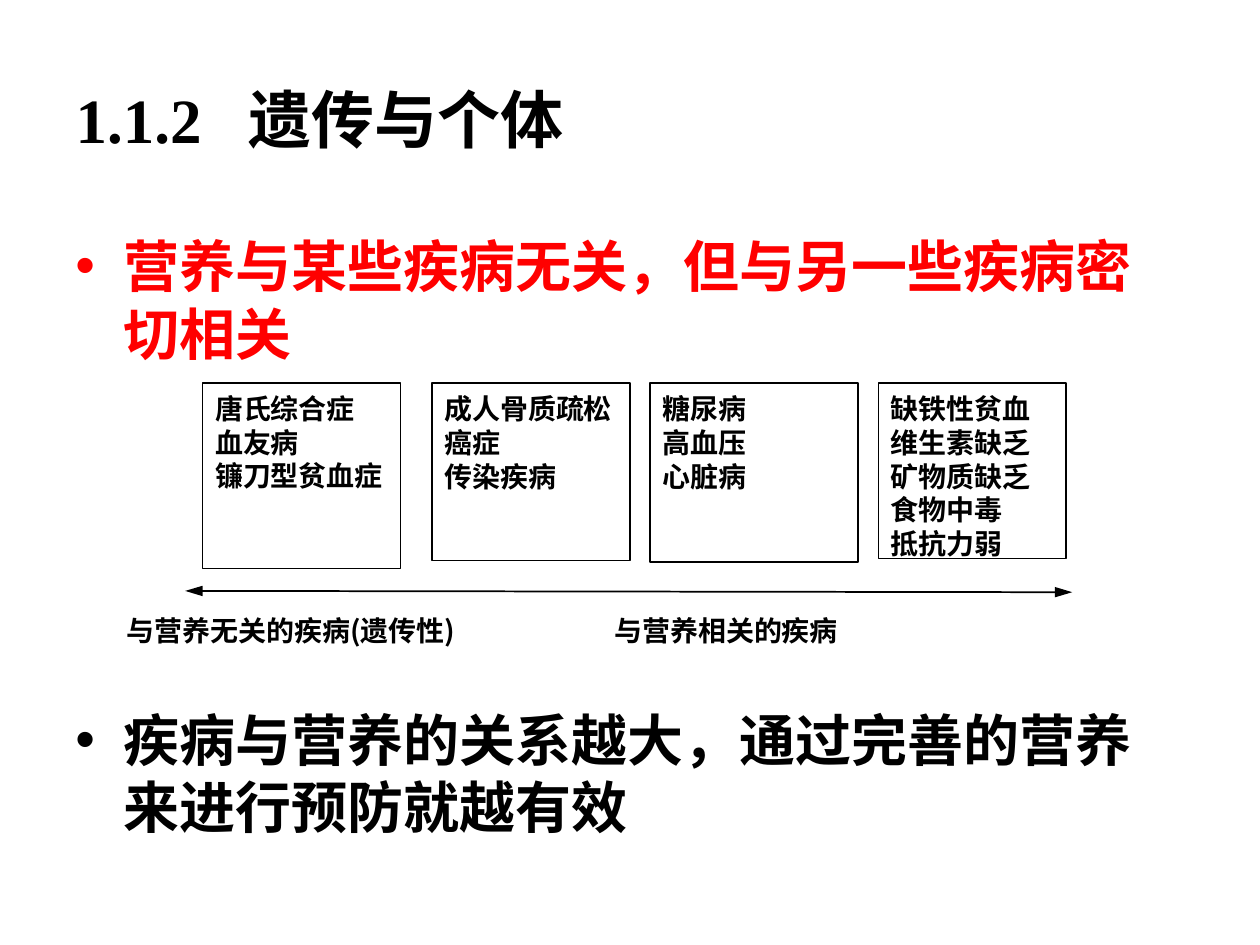
"""Build the slide on heredity, the individual and nutrition-related disease."""
from lxml.etree import SubElement
from pptx import Presentation
from pptx.dml.color import RGBColor
from pptx.enum.shapes import MSO_CONNECTOR, MSO_SHAPE
from pptx.enum.text import MSO_ANCHOR, PP_ALIGN
from pptx.oxml.ns import qn
from pptx.util import Inches, Pt

COLORS = {"ink": "000000", "accent": "FF0000", "paper": "FFFFFF"}
LATIN, CJK = "Times New Roman", "Noto Sans CJK SC"


def rgb(name):
    return RGBColor.from_string(COLORS[name])


def write(shape, lines, size=16, font="Arial", color="ink", bullet=False,
          tab=None, leading=1.2, anchor=MSO_ANCHOR.TOP):
    tf = shape.text_frame
    tf.word_wrap = True
    tf.vertical_anchor = anchor
    tf.margin_left = tf.margin_right = Inches(0.1)
    tf.margin_top, tf.margin_bottom = Inches(0.07), Inches(0.05)
    for i, line in enumerate(lines):
        p = tf.add_paragraph() if i else tf.paragraphs[0]
        p.alignment = PP_ALIGN.LEFT
        pPr = p._p.get_or_add_pPr()
        if bullet:
            pPr.set("marL", str(Inches(0.38)))
            pPr.set("indent", str(-Inches(0.38)))
            SubElement(pPr, qn("a:buFont"), typeface="Arial")
            SubElement(pPr, qn("a:buChar"), char="•")
        if tab:
            tabs = SubElement(pPr, qn("a:tabLst"))
            SubElement(tabs, qn("a:tab"), pos=str(Inches(tab)), algn="l")
        if leading:
            p.line_spacing = Pt(size * leading)
        r = p.add_run()
        r.text = line
        r.font.size = Pt(size)
        r.font.bold = True
        r.font.name = font
        r.font.color.rgb = rgb(color)
        SubElement(r._r.get_or_add_rPr(), qn("a:ea"), typeface=CJK)


prs = Presentation()
prs.slide_width, prs.slide_height = Inches(10), Inches(7.5)
s = prs.slides.add_slide(prs.slide_layouts[5])

title = s.shapes.title
title.left, title.top, title.width, title.height = map(Inches, (0.5, 0.3, 9, 1.25))
write(title, ["1.1.2\t遗传与个体"], size=36, font=LATIN, tab=1.37,
      leading=None, anchor=MSO_ANCHOR.MIDDLE)

points = [
    (1.77, "accent", "营养与某些疾病无关，但与另一些疾病密切相关"),
    (5.53, "ink", "疾病与营养的关系越大，通过完善的营养来进行预防就越有效"),
]
for top, color, text in points:
    sp = s.shapes.add_textbox(Inches(0.5), Inches(top), Inches(9), Inches(1.2))
    write(sp, [text], size=32, font=LATIN, color=color, bullet=True)

groups = [
    (1.61, 1.57, 1.47, ["唐氏综合症", "血友病", "镰刀型贫血症"]),
    (3.43, 1.57, 1.41, ["成人骨质疏松", "癌症", "传染疾病"]),
    (5.16, 1.65, 1.42, ["糖尿病", "高血压", "心脏病"]),
    (6.97, 1.49, 1.39, ["缺铁性贫血", "维生素缺乏", "矿物质缺乏", "食物中毒", "抵抗力弱"]),
]
for left, width, height, diseases in groups:
    sp = s.shapes.add_shape(MSO_SHAPE.RECTANGLE, Inches(left), Inches(3.04),
                            Inches(width), Inches(height))
    sp.shadow.inherit = False
    sp.fill.solid()
    sp.fill.fore_color.rgb = rgb("paper")
    sp.line.color.rgb = rgb("ink")
    sp.line.width = Pt(0.75)
    write(sp, diseases)

axis = s.shapes.add_connector(MSO_CONNECTOR.STRAIGHT, Inches(1.47), Inches(4.69),
                              Inches(8.51), Inches(4.7))
axis.line.color.rgb = rgb("ink")
axis.line.width = Pt(1)
ln = axis.line._get_or_add_ln()
for end in ("a:headEnd", "a:tailEnd"):
    SubElement(ln, qn(end), type="triangle", w="med", len="lg")
SubElement(axis._element.spPr, qn("a:effectLst"))

for left, font, text in [(0.91, CJK, "与营养无关的疾病(遗传性)"),
                         (4.78, "Arial", "与营养相关的疾病")]:
    sp = s.shapes.add_textbox(Inches(left), Inches(4.8), Inches(3.2), Inches(0.4))
    write(sp, [text], font=font)

prs.save("out.pptx")
